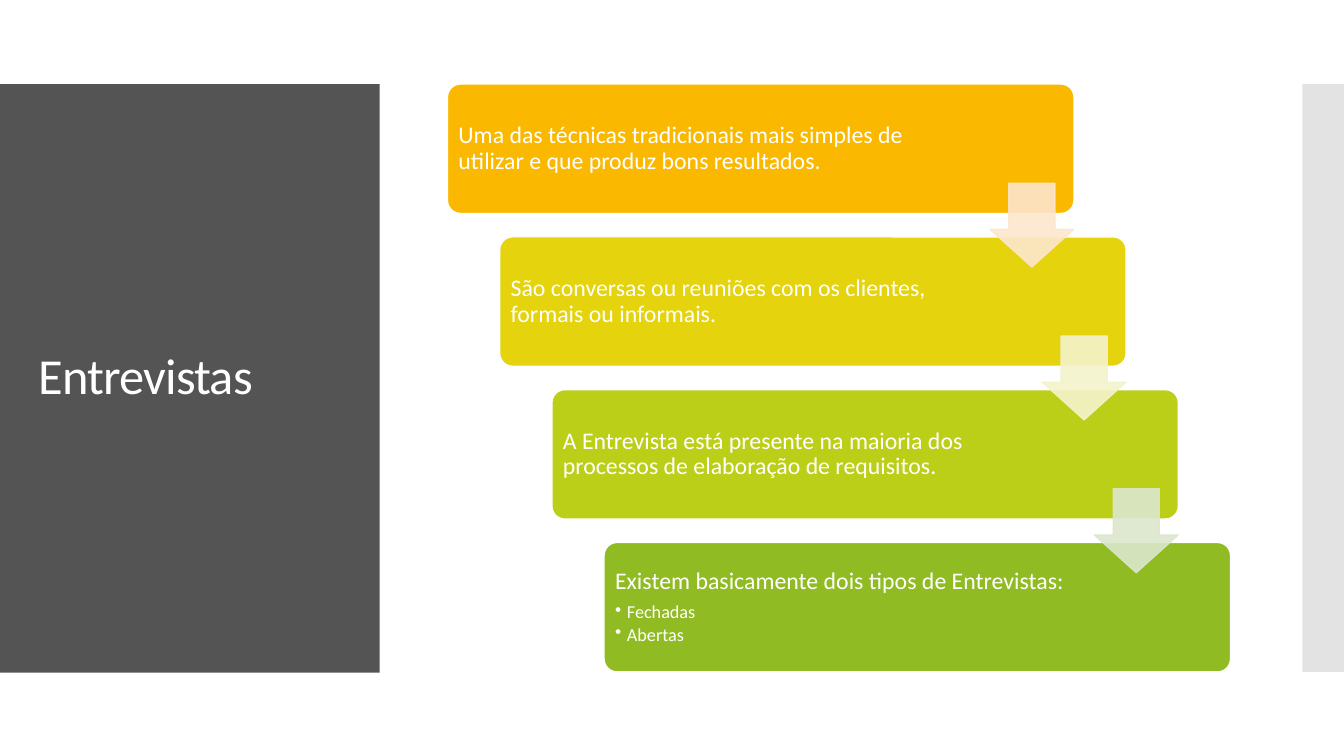
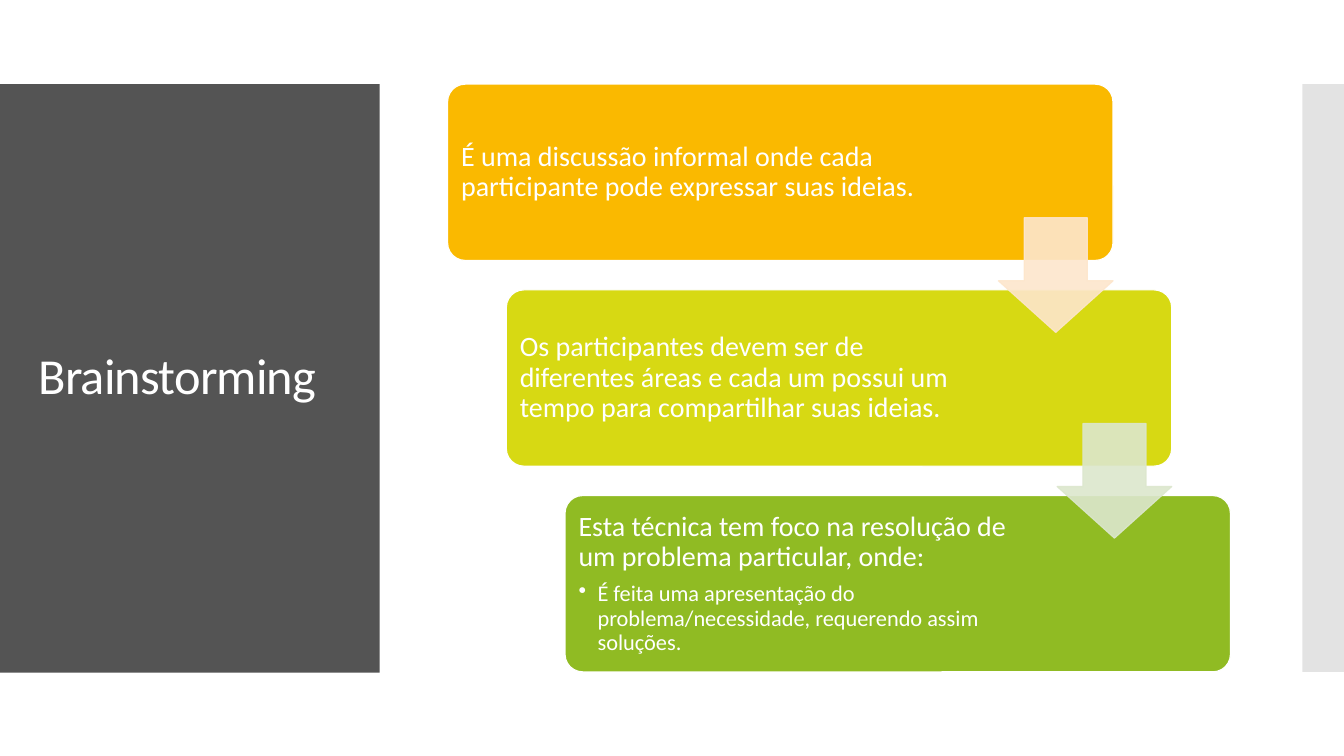
"""Build two slides of stepped cards beside a dark title panel."""
from lxml import etree
from pptx import Presentation
from pptx.dml.color import RGBColor
from pptx.enum.shapes import MSO_SHAPE
from pptx.enum.text import MSO_ANCHOR, PP_ALIGN
from pptx.oxml.ns import qn
from pptx.util import Cm, Pt

RECT = MSO_SHAPE.RECTANGLE
ROUND = MSO_SHAPE.ROUNDED_RECTANGLE
ARROW = MSO_SHAPE.DOWN_ARROW
MIDDLE = MSO_ANCHOR.MIDDLE
LEFT = PP_ALIGN.LEFT

WHITE = RGBColor(0xFF, 0xFF, 0xFF)
DARK = RGBColor(0x54, 0x54, 0x54)
GREY = RGBColor(0xC8, 0xC8, 0xC8)
AMBER = RGBColor(0xFA, 0xB9, 0x00)
GOLD = RGBColor(0xE4, 0xD3, 0x0D)
LEMON = RGBColor(0xD7, 0xD9, 0x13)
LIME = RGBColor(0xBC, 0xCF, 0x18)
GREEN = RGBColor(0x90, 0xBB, 0x23)
PEACH = RGBColor(0xFD, 0xE6, 0xCC)
CREAM = RGBColor(0xF4, 0xF3, 0xCB)
MINT = RGBColor(0xDC, 0xE7, 0xCD)

FONT = "Calibri"
WIDE, HIGH = 33.87, 19.05
TOP, TALL = 2.12, 14.81
START, SPAN = 11.28, 19.73
COLUMN = 12

INTERVIEW = dict(
    title="Entrevistas", ratio=(0.8, 0.22), sizes=(17, 13), inset=0.18, indent=0.3,
    cards=[
        (AMBER, "Uma das técnicas tradicionais mais simples de utilizar "
                "e que produz bons resultados.", []),
        (GOLD, "São conversas ou reuniões com os clientes, formais ou informais.", []),
        (LIME, "A Entrevista está presente na maioria dos processos "
               "de elaboração de requisitos.", []),
        (GREEN, "Existem basicamente dois tipos de Entrevistas:", ["Fechadas", "Abertas"]),
    ],
    arrows=[PEACH, CREAM, MINT])

BRAINSTORM = dict(
    title="Brainstorming", ratio=(0.85, 0.3), sizes=(20, 16), inset=0.21, indent=0.48,
    cards=[
        (AMBER, "É uma discussão informal onde cada participante "
                "pode expressar suas ideias.", []),
        (LEMON, "Os participantes devem ser de diferentes áreas e cada um possui "
                "um tempo para compartilhar suas ideias.", []),
        (GREEN, "Esta técnica tem foco na resolução de um problema particular, onde:",
         ["É feita uma apresentação do problema/necessidade, requerendo assim soluções."]),
    ],
    arrows=[PEACH, MINT])


def add_form(slide, kind, box, fill, line=None, alpha=100, adjust=()):
    """Add a flat preset shape, with box in centimetres."""
    form = slide.shapes.add_shape(kind, *map(Cm, box))
    form.shadow.inherit = False
    form.fill.solid()
    form.fill.fore_color.rgb = fill
    if line is None:
        form.line.fill.background()
    else:
        form.line.color.rgb = line
        form.line.width = Pt(0.85)
    for index, value in enumerate(adjust):
        form.adjustments[index] = value
    if alpha < 100:
        for color in form._element.spPr.iter(qn("a:srgbClr")):
            etree.SubElement(color, qn("a:alpha"), val=str(alpha * 1000))
    return form


def set_frame(form, left, right, edge):
    """Set the insets and middle anchor of a text frame."""
    frame = form.text_frame
    frame.word_wrap = True
    frame.vertical_anchor = MIDDLE
    frame.margin_left, frame.margin_right = Cm(left), Cm(right)
    frame.margin_top = frame.margin_bottom = Cm(edge)
    return frame


def add_run(para, text, size, after=0):
    """Style a paragraph and add one white run to it."""
    para.alignment = LEFT
    para.line_spacing = 0.9
    para.space_after = Pt(size * after)
    run = para.add_run()
    run.text = text
    run.font.name = FONT
    run.font.size = Pt(size)
    run.font.color.rgb = WHITE
    return run


def add_bullet(para, indent):
    """Give a paragraph a hanging bullet."""
    para.level = 1
    props = para._p.get_or_add_pPr()
    props.set("marL", str(Cm(indent)))
    props.set("indent", str(-Cm(indent)))
    etree.SubElement(props, qn("a:buChar"), char="•")


def add_base(deck, title):
    """Add a slide with the title panel and the side band."""
    slide = deck.slides.add_slide(deck.slide_layouts[6])
    add_form(slide, RECT, (32.82, TOP, WIDE - 32.82, TALL), GREY, alpha=50)
    panel = add_form(slide, RECT, (0, TOP, 9.57, 14.83), DARK)
    frame = set_frame(panel, 0.97, 0.97, 0.13)
    run = add_run(frame.paragraphs[0], title, 36)
    run.font._element.set("spc", "-60")
    return slide


def add_card(slide, box, card, sizes, inset, indent):
    """Add a rounded card with its text and bullets."""
    fill, text, items = card
    form = add_form(slide, ROUND, box, fill, WHITE, adjust=[0.1])
    pad = 0.03 * box[3]
    frame = set_frame(form, inset, box[2] - 2 * pad - COLUMN + inset, inset)
    add_run(frame.paragraphs[0], text, sizes[0], 0.35)
    for item in items:
        para = frame.add_paragraph()
        add_run(para, item, sizes[1], 0.15)
        add_bullet(para, indent)


def add_steps(slide, ratio, cards, arrows, **style):
    """Lay cards down a diagonal and join them with arrows."""
    wide, high = SPAN * ratio[0], TALL * ratio[1]
    across = (SPAN - wide) / (len(cards) - 1)
    down = (TALL - high) / (len(cards) - 1)
    for index, card in enumerate(cards):
        box = (START + index * across, TOP + index * down, wide, high)
        add_card(slide, box, card, **style)
    side = 0.65 * high
    for index, color in enumerate(arrows):
        left = START + index * across + wide - side
        top = TOP + index * down + (high + down - side) / 2
        add_form(slide, ARROW, (left, top, side, side), color, color, 90, [0.55, 0.45])


def main():
    """Build and save the deck."""
    deck = Presentation()
    deck.slide_width, deck.slide_height = Cm(WIDE), Cm(HIGH)
    for topic in (INTERVIEW, BRAINSTORM):
        steps = dict(topic)
        slide = add_base(deck, steps.pop("title"))
        add_steps(slide, **steps)
    deck.save("out.pptx")


if __name__ == "__main__":
    main()
